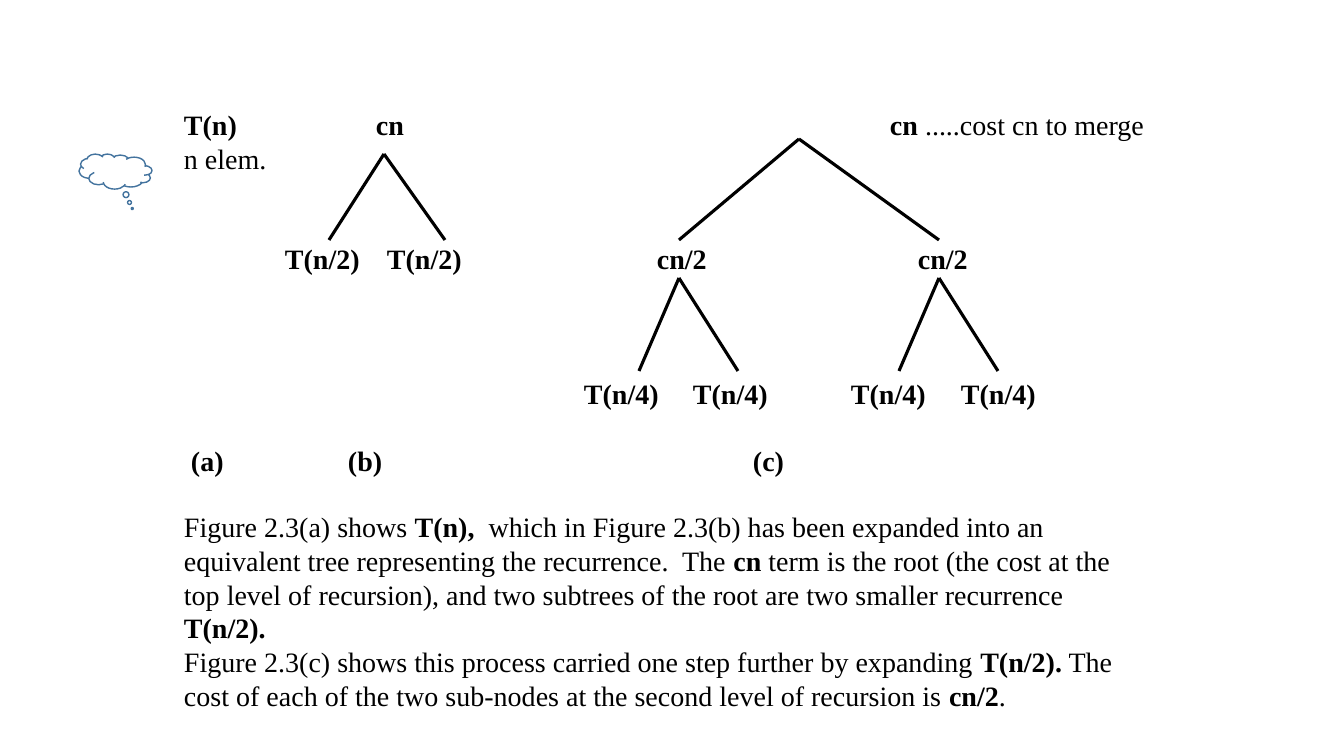
from dataclasses import dataclass

from lxml.etree import SubElement
from pptx import Presentation
from pptx.dml.color import RGBColor
from pptx.enum.shapes import MSO_CONNECTOR, MSO_SHAPE
from pptx.oxml.ns import qn
from pptx.util import Emu, Pt


@dataclass(frozen=True)
class Theme:
    font: str = "Times New Roman"
    size: Pt = Pt(20)
    leading: Pt = Pt(24)
    ink: RGBColor = RGBColor(0, 0, 0)
    cloud: RGBColor = RGBColor(0x43, 0x73, 0x9E)
    branch_width: Pt = Pt(2.25)
    cloud_width: Pt = Pt(1)


THEME = Theme()
LEFT, TOP, ROW = 184, 107, 33.6
LABEL_WIDTH = 92

# Text row: (left edge, label) pairs
LABELS = {
    0: [(184, "**T(n)**"), (376, "**cn**")],
    1: [(184, "n elem.")],
    4: [(285, "**T(n/2)**"), (387, "**T(n/2)**"),
        (657, "**cn/2**"), (918, "**cn/2**")],
    8: [(584, "**T(n/4)**"), (693, "**T(n/4)**"),
        (851, "**T(n/4)**"), (961, "**T(n/4)**")],
    10: [(191, "**(a)**"), (348, "**(b)**"), (753, "**(c)**")],
}

# Apex x, apex y, foot y, left foot x, right foot x
FORKS = [
    (384, 154, 240, 329, 445),
    (799, 139, 240, 679, 939),
    (679, 278, 371, 639, 738),
    (939, 278, 371, 899, 998),
]

EXPLANATION = [
    "Figure 2.3(a) shows **T(n),**  which in Figure 2.3(b) has been expanded "
    "into an equivalent tree representing the recurrence.  The **cn** term is "
    "the root (the cost at the top level of recursion), and two subtrees of "
    "the root are two smaller recurrence **T(n/2).**",
    "Figure 2.3(c) shows this process carried one step further by expanding "
    "**T(n/2).** The cost of each of the two sub-nodes at the second level of "
    "recursion is **cn/2**.",
]


def px(n):
    return Emu(round(n * 914400 / 100.8))


def row_top(row):
    return round(TOP + row * ROW)


def add_text(s, x, y, w, h, paragraphs):
    """Add a text box; words between double asterisks are bold."""
    tf = s.shapes.add_textbox(px(x), px(y), px(w), px(h)).text_frame
    tf.word_wrap = True
    tf.margin_left = tf.margin_right = tf.margin_top = tf.margin_bottom = 0
    for i, text in enumerate(paragraphs):
        p = tf.add_paragraph() if i else tf.paragraphs[0]
        p.line_spacing = THEME.leading
        p.font.name = THEME.font
        p.font.size = THEME.size
        p.font.color.rgb = THEME.ink
        for j, part in enumerate(text.split("**")):
            if part:
                r = p.add_run()
                r.text = part
                r.font.bold = j % 2 == 1


def add_label(s, x, row, text, w=LABEL_WIDTH):
    add_text(s, x, row_top(row), w, 34, [text])


def add_branch(s, x1, y1, x2, y2):
    c = s.shapes.add_connector(MSO_CONNECTOR.STRAIGHT,
                               px(x1), px(y1), px(x2), px(y2))
    c.line.color.rgb = THEME.ink
    c.line.width = THEME.branch_width
    SubElement(c._element.spPr, qn("a:effectLst"))


def add_fork(s, apex_x, apex_y, foot_y, *feet):
    for foot_x in feet:
        add_branch(s, apex_x, apex_y, foot_x, foot_y)


def add_cloud(s, x, y, w, h):
    sp = s.shapes.add_shape(MSO_SHAPE.CLOUD_CALLOUT, px(x), px(y), px(w), px(h))
    sp.adjustments[0], sp.adjustments[1] = -0.23, 1.06
    sp.shadow.inherit = False
    sp.fill.background()
    sp.line.color.rgb = THEME.cloud
    sp.line.width = THEME.cloud_width
    sp._element.spPr.find(qn("a:xfrm")).set("flipH", "1")


def main():
    prs = Presentation()
    prs.slide_width, prs.slide_height = px(1344), px(756)
    s = prs.slides.add_slide(prs.slide_layouts[6])
    for row, labels in LABELS.items():
        for x, text in labels:
            add_label(s, x, row, text)
    add_label(s, 890, 0, "**cn** .....cost cn to merge", w=270)
    add_text(s, LEFT, row_top(12), 968, 202, EXPLANATION)
    for fork in FORKS:
        add_fork(s, *fork)
    add_cloud(s, 79, 154, 73, 35)
    prs.save("out.pptx")


if __name__ == "__main__":
    main()
